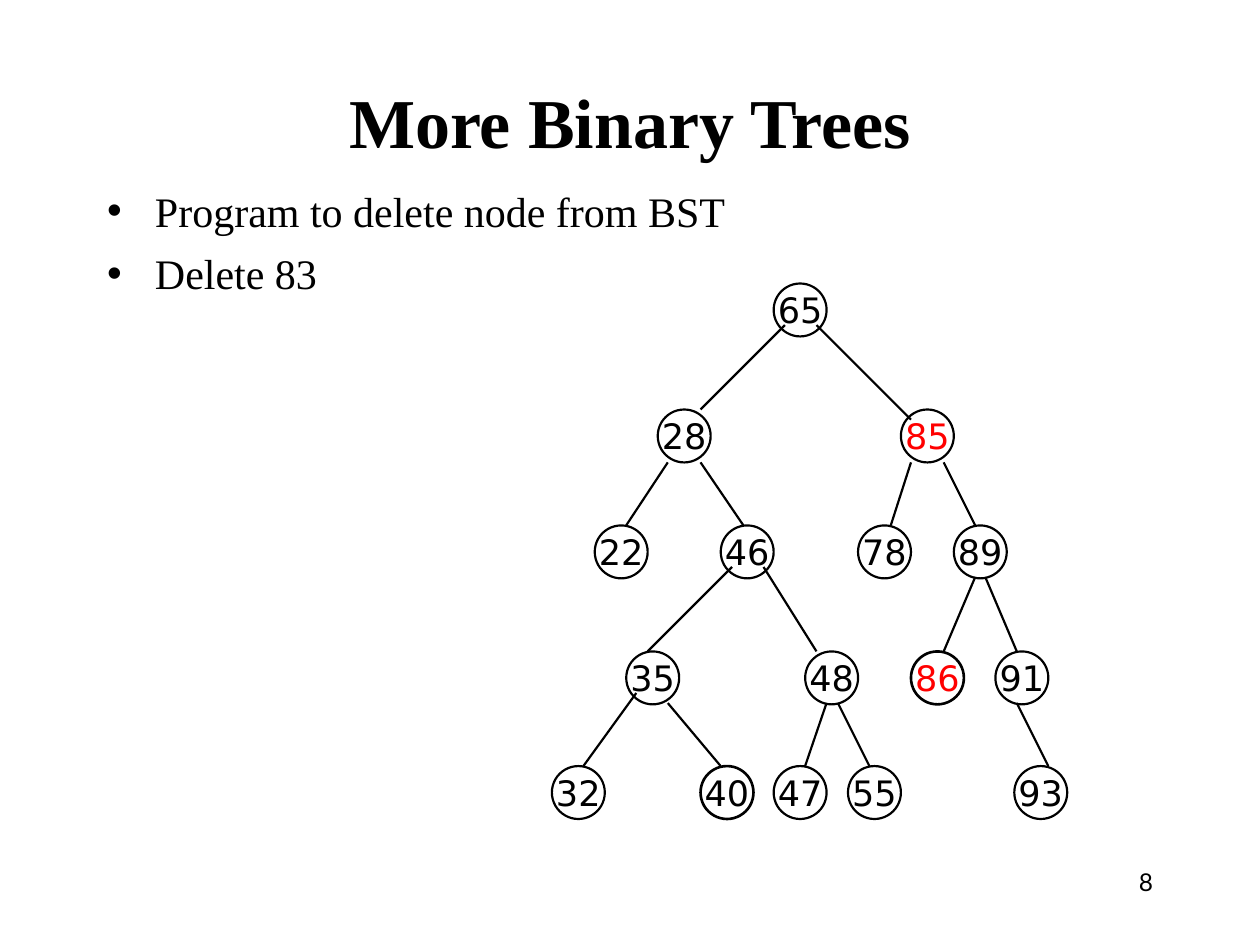
"""Build a slide that shows a binary search tree after deleting a node."""
from lxml.etree import SubElement
from pptx import Presentation
from pptx.dml.color import RGBColor
from pptx.enum.shapes import MSO_CONNECTOR, MSO_SHAPE
from pptx.enum.text import MSO_ANCHOR, MSO_AUTO_SIZE, PP_ALIGN
from pptx.oxml.ns import qn
from pptx.util import Inches, Pt

COLORS = {"ink": "000000", "changed": "FF0000"}
SERIF, SANS, NUMBER_FONT = "Times New Roman", "DejaVu Sans", "Lato"
NODE_SIZE = 0.42
CHANGED = {"85", "86"}
BOLD_OUTLINES = {"40", "86"}

LEVELS = {
    2.25: {"65": 6.14},
    3.25: {"28": 5.22, "85": 7.15},
    4.17: {"22": 4.72, "46": 5.72, "78": 6.81, "89": 7.57},
    5.17: {"35": 4.97, "48": 6.39, "86": 7.23, "91": 7.9},
    6.08: {"32": 4.38, "40": 5.56, "47": 6.14, "55": 6.73, "93": 8.05},
}
EDGES = [
    (6.23, 2.58, 5.56, 3.25), (6.48, 2.58, 7.23, 3.33),
    (5.3, 3.67, 4.97, 4.17), (5.56, 3.67, 5.9, 4.17),
    (7.23, 3.67, 7.07, 4.17), (7.49, 3.67, 7.74, 4.17),
    (5.81, 4.5, 5.14, 5.17), (6.06, 4.5, 6.48, 5.17),
    (7.74, 4.58, 7.49, 5.17), (7.82, 4.58, 8.07, 5.17),
    (5.05, 5.5, 4.63, 6.08), (5.3, 5.58, 5.72, 6.08),
    (6.56, 5.58, 6.39, 6.08), (6.65, 5.58, 6.9, 6.08),
    (8.07, 5.58, 8.32, 6.08),
]


class TreeSlide:
    """Hold the style and the current slide."""

    def __init__(self, deck):
        self.page = deck.slides.add_slide(deck.slide_layouts[1])
        self.tree = self.page.shapes.add_group_shape()

    def color(self, name):
        return RGBColor.from_string(COLORS[name])

    def place(self, box, left, top, width, height):
        box.left, box.top = Inches(left), Inches(top)
        box.width, box.height = Inches(width), Inches(height)

    def style(self, paragraph, font, size, color="ink", bold=False):
        for span in paragraph.runs:
            span.font.name = font
            span.font.size = Pt(size)
            span.font.bold = bold
            span.font.color.rgb = self.color(color)

    def title(self, text):
        box = self.page.shapes.title
        self.place(box, 0.75, 0.67, 8.5, 0.58)
        frame = box.text_frame
        frame.text = text
        frame.auto_size = MSO_AUTO_SIZE.NONE
        frame.vertical_anchor = MSO_ANCHOR.MIDDLE
        frame.paragraphs[0].alignment = PP_ALIGN.CENTER
        self.style(frame.paragraphs[0], SERIF, 40, bold=True)

    def bullets(self, items):
        box = self.page.placeholders[1]
        self.place(box, 0.75, 1.42, 8.5, 5.25)
        frame = box.text_frame
        frame.text = "\n".join(items)
        frame.auto_size = MSO_AUTO_SIZE.NONE
        for index, paragraph in enumerate(frame.paragraphs):
            paragraph.space_before = Pt(7 if index else 0)
            properties = paragraph._p.get_or_add_pPr()
            properties.set("marL", str(Inches(0.38)))
            properties.set("indent", str(Inches(-0.38)))
            SubElement(properties, qn("a:buChar")).set("char", "•")
            self.style(paragraph, SERIF, 24)

    def page_number(self, text):
        box = self.page.shapes.add_textbox(Inches(7.17), Inches(6.83), Inches(2.08), Inches(0.5))
        frame = box.text_frame
        frame.word_wrap = True
        frame.text = text
        frame.paragraphs[0].alignment = PP_ALIGN.RIGHT
        self.style(frame.paragraphs[0], NUMBER_FONT, 14)

    def node(self, key, left, top):
        circle = self.tree.shapes.add_shape(
            MSO_SHAPE.OVAL, Inches(left), Inches(top), Inches(NODE_SIZE), Inches(NODE_SIZE))
        circle.shadow.inherit = False
        circle.fill.background()
        circle.line.color.rgb = self.color("ink")
        circle.line.width = Pt(1.5 if key in BOLD_OUTLINES else 1.25)
        frame = circle.text_frame
        frame.word_wrap = False
        frame.vertical_anchor = MSO_ANCHOR.MIDDLE
        frame.text = key
        frame.paragraphs[0].alignment = PP_ALIGN.CENTER
        self.style(frame.paragraphs[0], SANS, 20, "changed" if key in CHANGED else "ink")

    def edge(self, *ends):
        line = self.tree.shapes.add_connector(MSO_CONNECTOR.STRAIGHT, *map(Inches, ends))
        line.line.color.rgb = self.color("ink")
        line.line.width = Pt(1.25)
        SubElement(line._element.spPr, qn("a:effectLst"))


def main():
    deck = Presentation()
    deck.slide_width, deck.slide_height = Inches(10), Inches(7.5)
    slide = TreeSlide(deck)
    slide.title("More Binary Trees")
    slide.bullets(["Program to delete node from BST", "Delete 83"])
    slide.page_number("8")
    for top, nodes in LEVELS.items():
        for key, left in nodes.items():
            slide.node(key, left, top)
    for ends in EDGES:
        slide.edge(*ends)
    deck.save("out.pptx")


if __name__ == "__main__":
    main()
